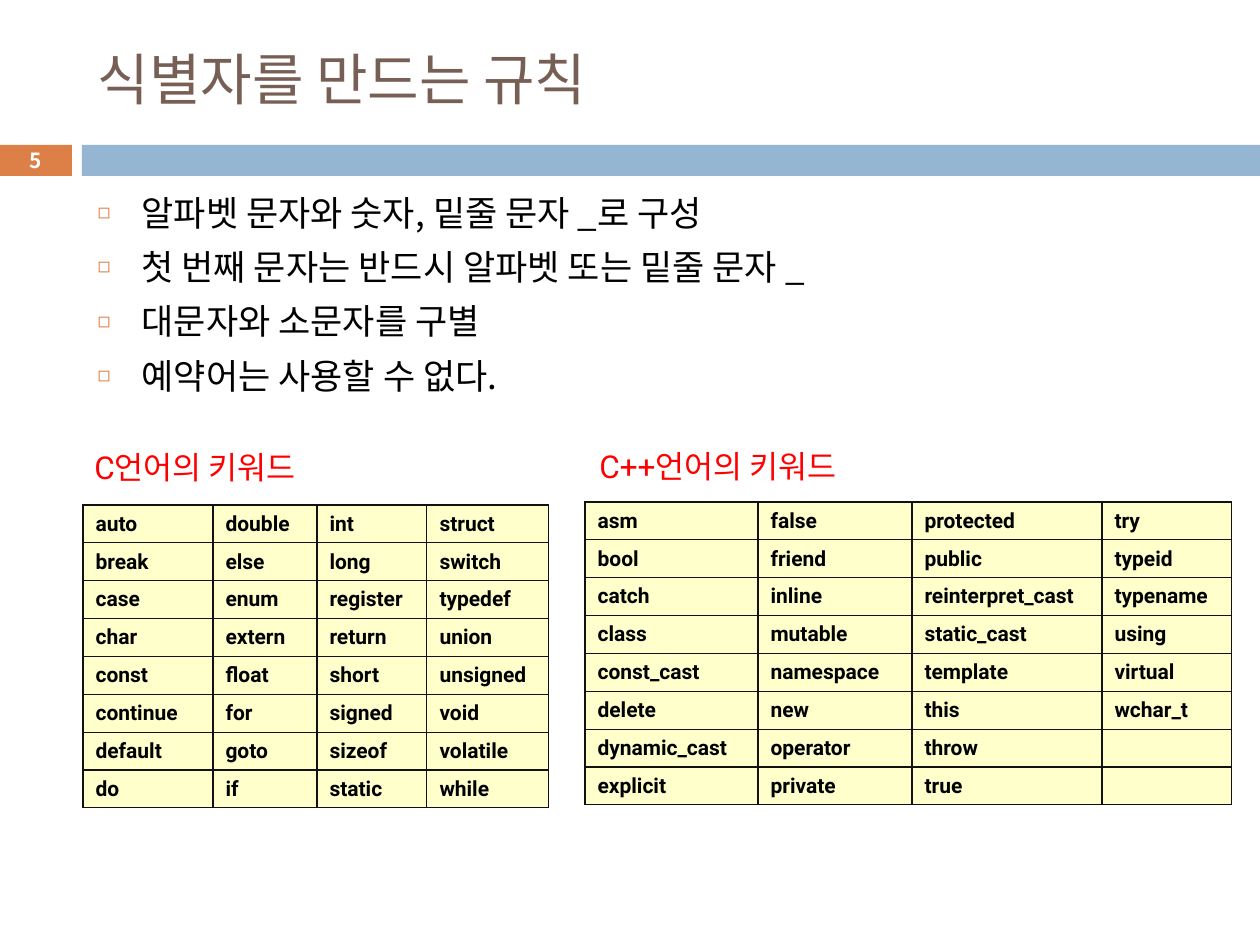
from itertools import zip_longest

from pptx import Presentation
from pptx.dml.color import RGBColor
from pptx.enum.shapes import MSO_SHAPE
from pptx.enum.text import MSO_ANCHOR, MSO_AUTO_SIZE, PP_ALIGN
from pptx.oxml.ns import qn
from pptx.util import Pt
from lxml import etree

RECT = MSO_SHAPE.RECTANGLE
MIDDLE, TOP = MSO_ANCHOR.MIDDLE, MSO_ANCHOR.TOP
LEFT, CENTER = PP_ALIGN.LEFT, PP_ALIGN.CENTER
NO_FIT = MSO_AUTO_SIZE.NONE
EMU_PER_PX = 914400 / 126
KOREAN, LATIN = "Noto Sans CJK KR", "Roboto"
ORANGE, BLUE, BROWN = "DD8047", "94B6D2", "775F55"
BLACK, WHITE, RED = "000000", "FFFFFF", "FF0000"
CELL_FILL, CELL_LINE = "FFFFCC", "111111"

RULES = [
    "알파벳 문자와 숫자, 밑줄 문자 _로 구성",
    "첫 번째 문자는 반드시 알파벳 또는 밑줄 문자 _",
    "대문자와 소문자를 구별",
    "예약어는 사용할 수 없다.",
]
C_KEYWORDS = [
    "auto break case char const continue default do",
    "double else enum extern float for goto if",
    "int long register return short signed sizeof static",
    "struct switch typedef union unsigned void volatile while",
]
CPP_KEYWORDS = [
    "asm bool catch class const_cast delete dynamic_cast explicit",
    "false friend inline mutable namespace new operator private",
    "protected public reinterpret_cast static_cast template this throw true",
    "try typeid typename using virtual wchar_t",
]


def px(n):
    return round(n * EMU_PER_PX)


def rgb(color):
    return RGBColor.from_string(color)


def place(sp, x, y, w, h):
    sp.left, sp.top, sp.width, sp.height = px(x), px(y), px(w), px(h)


def add_run(p, text, size=12, font=KOREAN, color=BLACK, bold=False, align=LEFT):
    p.alignment = align
    r = p.add_run()
    r.text = text
    r.font.size = Pt(size)
    r.font.name = font
    r.font.bold = bold
    r.font.color.rgb = rgb(color)
    ea = etree.SubElement(r.font._element, qn("a:ea"))
    ea.set("typeface", KOREAN)


def add_bar(s, x, y, w, h, color):
    sp = s.shapes.add_shape(RECT, px(x), px(y), px(w), px(h))
    sp.shadow.inherit = False
    sp.fill.solid()
    sp.fill.fore_color.rgb = rgb(color)
    sp.line.fill.background()


def add_label(s, x, y, w, h, text, anchor=TOP, wrap=False, **fmt):
    tf = s.shapes.add_textbox(px(x), px(y), px(w), px(h)).text_frame
    tf.word_wrap = wrap
    tf.vertical_anchor = anchor
    add_run(tf.paragraphs[0], text, **fmt)


def fill_title(s, text):
    sp = s.shapes.title
    place(sp, 85, 32, 1124, 93)
    tf = sp.text_frame
    tf.auto_size = NO_FIT
    tf.vertical_anchor = MIDDLE
    add_run(tf.paragraphs[0], text, size=32, color=BROWN)


def add_bullet(p):
    pPr = p._p.get_or_add_pPr()
    pPr.set("marL", str(px(44)))
    pPr.set("indent", str(-px(44)))
    color = etree.SubElement(pPr, qn("a:buClr"))
    etree.SubElement(color, qn("a:srgbClr")).set("val", ORANGE)
    etree.SubElement(pPr, qn("a:buSzPct")).set("val", "60000")
    etree.SubElement(pPr, qn("a:buChar")).set("char", "◻")


def fill_list(s, items):
    sp = s.placeholders[1]
    place(sp, 85, 185, 1124, 694)
    tf = sp.text_frame
    tf.auto_size = NO_FIT
    tf.vertical_anchor = TOP
    for i, item in enumerate(items):
        p = tf.add_paragraph() if i else tf.paragraphs[0]
        add_bullet(p)
        p.line_spacing = Pt(24)
        p.space_before = Pt(7 if i else 0)
        add_run(p, item, size=20)


def style_cell(cell):
    tcPr = cell._tc.get_or_add_tcPr()
    for side in ("lnL", "lnR", "lnT", "lnB"):
        ln = etree.SubElement(tcPr, qn(f"a:{side}"))
        ln.set("w", str(Pt(0.75)))
        fill = etree.SubElement(ln, qn("a:solidFill"))
        etree.SubElement(fill, qn("a:srgbClr")).set("val", CELL_LINE)
    cell.fill.solid()
    cell.fill.fore_color.rgb = rgb(CELL_FILL)
    cell.vertical_anchor = MIDDLE


def add_keywords(s, x, y, h, widths, columns):
    rows = list(zip_longest(*(c.split() for c in columns), fillvalue=""))
    frame = s.shapes.add_table(len(rows), len(widths), px(x), px(y), px(sum(widths)), px(h))
    table = frame.table
    table.first_row = table.horz_banding = False
    for col, w in zip(table.columns, widths):
        col.width = px(w)
    for i, row in enumerate(rows):
        for j, word in enumerate(row):
            cell = table.cell(i, j)
            style_cell(cell)
            p = cell.text_frame.paragraphs[0]
            if word:
                add_run(p, word, font=LATIN, bold=True)
            else:
                p._p.get_or_add_endParaRPr().set("sz", "1200")


def main():
    prs = Presentation()
    prs.slide_width, prs.slide_height = px(1260), px(945)
    s = prs.slides.add_slide(prs.slide_layouts[1])
    add_bar(s, -1, 145, 73, 31, ORANGE)
    add_bar(s, 82, 145, 1178, 31, BLUE)
    fill_title(s, "식별자를 만드는 규칙")
    fill_list(s, RULES)
    add_label(s, -1, 143, 73, 34, "5", anchor=MIDDLE, wrap=True,
              size=11.9, color=WHITE, bold=True, align=CENTER)
    add_keywords(s, 83, 505, 302, [130, 104, 110, 122], C_KEYWORDS)
    add_keywords(s, 585, 502, 302, [173, 154, 190, 130], CPP_KEYWORDS)
    add_label(s, 82, 442, 243, 50, "C언어의 키워드", size=18, font=LATIN, color=RED)
    add_label(s, 587, 441, 276, 50, "C++언어의 키워드", size=18, font=LATIN, color=RED)
    prs.save("out.pptx")


if __name__ == "__main__":
    main()
